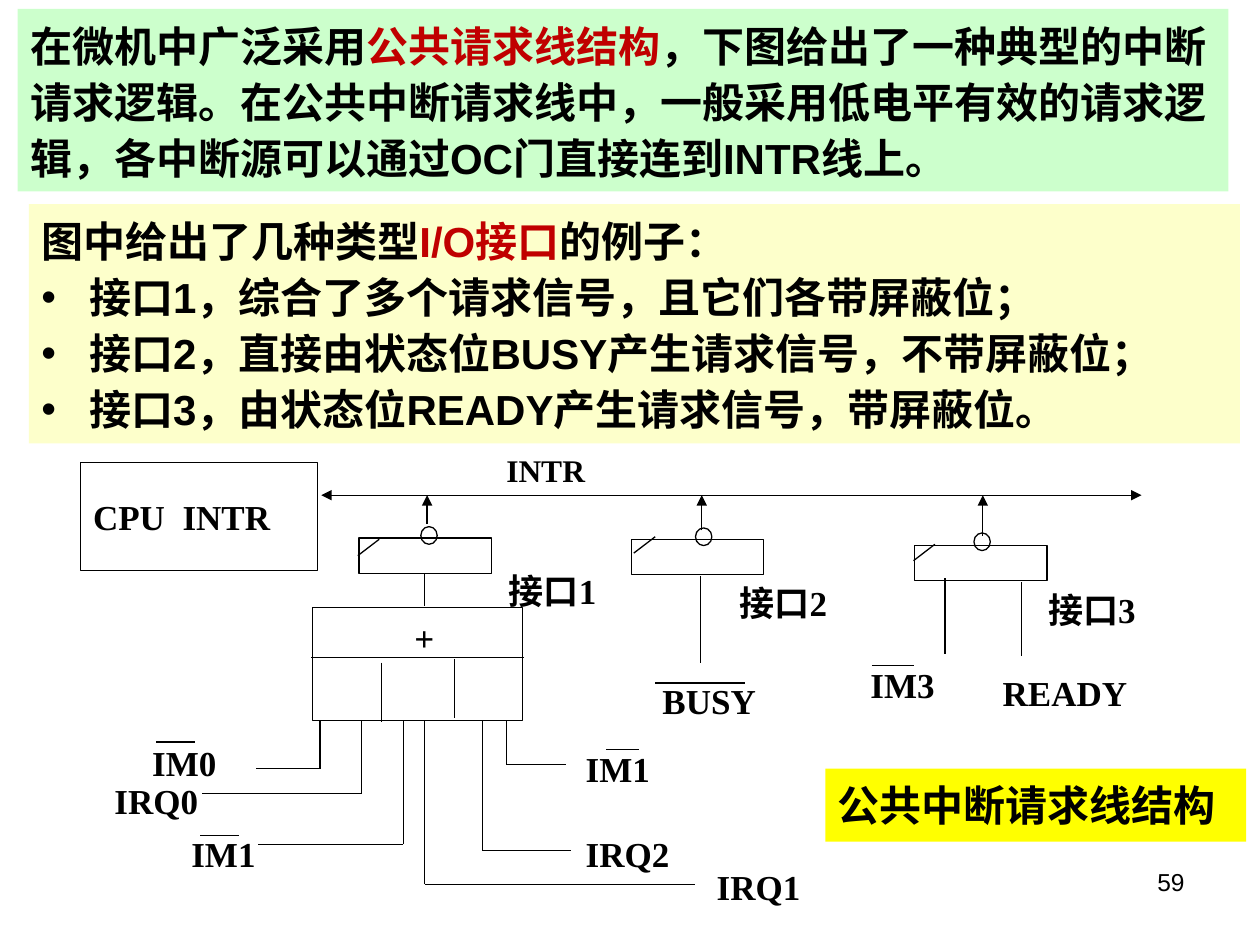
from lxml.etree import SubElement
from pptx import Presentation
from pptx.dml.color import RGBColor
from pptx.enum.shapes import MSO_CONNECTOR as CONN, MSO_SHAPE as SHAPE
from pptx.enum.text import MSO_ANCHOR as ANCHOR, MSO_AUTO_SIZE as AUTO, PP_ALIGN as ALIGN
from pptx.oxml.ns import qn
from pptx.util import Inches, Pt

COLORS = {"ink": "000000", "red": "C00000", "green": "CCFFCC", "cream": "FDFFCB", "yellow": "FFFF00"}
SERIF = {"name": "Times New Roman", "size": Pt(20), "bold": True}
SANS = {"name": "Arial", "size": Pt(24), "bold": True}

INTRO = [[("在微机中广泛采用", "ink"), ("公共请求线结构", "red"),
          ("，下图给出了一种典型的中断请求逻辑。在公共中断请求线中，一般采用低电平有效的请求逻辑，"
           "各中断源可以通过OC门直接连到INTR线上。", "ink")]]
EXAMPLES = [
    [("图中给出了几种类型", "ink"), ("I/O接口", "red"), ("的例子：", "ink")],
    [("接口1，综合了多个请求信号，且它们各带屏蔽位；", "ink")],
    [("接口2，直接由状态位BUSY产生请求信号，不带屏蔽位；", "ink")],
    [("接口3，由状态位READY产生请求信号，带屏蔽位。", "ink")],
]
BUS_Y = 3.93
GATES = [  # box x, y; slash x, y; circle x, y; arrow x, start y
    (2.85, 4.27, 2.84, 4.41, 3.34, 4.18, 3.39, 4.16),
    (5.01, 4.28, 5.03, 4.39, 5.52, 4.19, 5.57, 4.21),
    (7.26, 4.33, 7.25, 4.45, 7.73, 4.23, 7.8, 4.25),
]
INPUTS = [(2.54, 6.1, 2.03), (2.87, 6.3, 1.6), (3.2, 6.7, 2.05),
          (3.37, 7.02, 5.52), (3.83, 6.75, 4.53), (4.02, 6.07, 4.49)]
INPUT_TOP = 5.72
DROPS = [(3.03, 5.26, 5.73), (3.61, 5.23, 5.7), (3.37, 4.55, 4.81),
         (5.56, 4.57, 5.26), (7.5, 4.59, 5.19), (8.11, 4.62, 5.21)]
OVERBARS = [(4.81, 5.07, 5.95), (1.59, 1.9, 6.63), (1.24, 1.55, 5.89),
            (5.2, 5.91, 5.42), (6.92, 7.25, 5.28)]
LABELS = [
    ("IM1", 4.55, 5.82, 1.1, 0.56), ("IRQ2", 4.55, 6.49, 1.1, 0.56),
    ("IRQ1", 5.59, 6.76, 1.1, 0.56), ("IM1", 1.42, 6.49, 0.82, 0.56),
    ("IRQ0", 0.81, 6.09, 1.01, 0.52), ("IM0", 1.11, 5.8, 0.8, 0.51),
    ("接口1", 3.94, 4.41, 1.1, 0.56), ("BUSY", 5.16, 5.28, 1.1, 0.56),
    ("接口2", 5.77, 4.48, 0.98, 0.6), ("IM3", 6.81, 5.15, 1.1, 0.56),
    ("接口3", 8.22, 4.59, 1.1, 0.49), ("READY", 7.86, 5.22, 1.34, 0.56),
]


def rgb(name):
    return RGBColor.from_string(COLORS[name])


def add_runs(p, runs, font):
    for text, color in runs:
        r = p.add_run()
        r.text = text
        for key, value in font.items():
            setattr(r.font, key, value)
        r.font.color.rgb = rgb(color)


def set_text(sp, text, font, align=ALIGN.LEFT, **frame):
    tf = sp.text_frame
    for key, value in {"word_wrap": True, **frame}.items():
        setattr(tf, key, value)
    p = tf.paragraphs[0]
    p.alignment = align
    add_runs(p, [(text, "ink")], font)


def add_label(s, text, x, y, w, h, font=SERIF, align=ALIGN.JUSTIFY, **frame):
    sp = s.shapes.add_textbox(Inches(x), Inches(y), Inches(w), Inches(h))
    set_text(sp, text, font, align, **frame)


def add_box(s, x, y, w, h, fill=None, kind=SHAPE.RECTANGLE):
    sp = s.shapes.add_shape(kind, Inches(x), Inches(y), Inches(w), Inches(h))
    sp.shadow.inherit = False
    if fill:
        sp.fill.solid()
        sp.fill.fore_color.rgb = rgb(fill)
        sp.line.fill.background()
    else:
        sp.fill.background()
        sp.line.color.rgb = rgb("ink")
        sp.line.width = Pt(0.75)
    return sp


def add_panel(s, x, y, w, h, fill, paragraphs):
    tf = add_box(s, x, y, w, h, fill).text_frame
    tf.word_wrap = True
    tf.auto_size = AUTO.SHAPE_TO_FIT_TEXT
    tf.vertical_anchor = ANCHOR.TOP
    for i, runs in enumerate(paragraphs):
        p = tf.add_paragraph() if i else tf.paragraphs[0]
        p.alignment = ALIGN.LEFT
        p.line_spacing = Pt(32)
        if i:
            pPr = p._p.get_or_add_pPr()
            pPr.set("marL", str(Inches(0.38)))
            pPr.set("indent", str(-Inches(0.38)))
            SubElement(pPr, qn("a:buFont"), typeface="Arial")
            SubElement(pPr, qn("a:buChar"), char="•")
        add_runs(p, runs, SANS)


def add_line(s, x1, y1, x2, y2, ends=()):
    c = s.shapes.add_connector(CONN.STRAIGHT, Inches(x1), Inches(y1), Inches(x2), Inches(y2))
    c.line.color.rgb = rgb("ink")
    c.line.width = Pt(0.75)
    for end in ends:
        SubElement(c.line._get_or_add_ln(), qn(f"a:{end}"), type="triangle")
    SubElement(c._element.spPr, qn("a:effectLst"))


def add_gate(s, x, y, slash_x, slash_y, circle_x, circle_y, arrow_x, arrow_y):
    add_box(s, x, y, 1.05, 0.28)
    add_line(s, slash_x, slash_y, slash_x + 0.17, slash_y - 0.13)
    add_box(s, circle_x, circle_y, 0.13, 0.14, kind=SHAPE.OVAL)
    add_line(s, arrow_x, arrow_y, arrow_x, BUS_Y, ["tailEnd"])


def add_circuit(s):
    add_line(s, 2.55, BUS_Y, 9.06, BUS_Y, ["headEnd", "tailEnd"])
    cpu = add_box(s, 0.64, 3.67, 1.88, 0.86)
    set_text(cpu, "CPU  INTR", SERIF, ALIGN.JUSTIFY, vertical_anchor=ANCHOR.MIDDLE)
    for gate in GATES:
        add_gate(s, *gate)
    add_box(s, 2.48, 4.82, 1.67, 0.9)
    add_line(s, 2.47, 5.22, 4.16, 5.22)
    for x, top, bottom in DROPS:
        add_line(s, x, top, x, bottom)
    for x, y, end in INPUTS:
        add_line(s, x, INPUT_TOP, x, y)
        add_line(s, x, y, end, y)
    for left, right, y in OVERBARS:
        add_line(s, left, y, right, y)
    for label in LABELS:
        add_label(s, *label, vertical_anchor=ANCHOR.MIDDLE)
    add_label(s, "+", 3.19, 4.84, 0.36, 0.44, align=ALIGN.LEFT, word_wrap=False)
    add_label(s, "INTR", 3.92, 3.53, 1.17, 0.4, {**SERIF, "size": Pt(18)}, ALIGN.LEFT)


def main():
    """Build the slide on the common interrupt request line."""
    prs = Presentation()
    prs.slide_width, prs.slide_height = Inches(10), Inches(7.5)
    s = prs.slides.add_slide(prs.slide_layouts[6])
    add_panel(s, 0.14, 0.07, 9.61, 1.45, "green", INTRO)
    add_panel(s, 0.23, 1.62, 9.61, 1.9, "cream", EXAMPLES)
    add_circuit(s)
    caption = add_box(s, 6.55, 6.1, 3.34, 0.58, "yellow")
    set_text(caption, "公共中断请求线结构", {**SERIF, "size": Pt(24)}, vertical_anchor=ANCHOR.MIDDLE)
    add_label(s, "59", 7.17, 6.83, 2.33, 0.52, {"name": "Arial", "size": Pt(14)}, ALIGN.RIGHT)
    prs.save("out.pptx")


if __name__ == "__main__":
    main()
